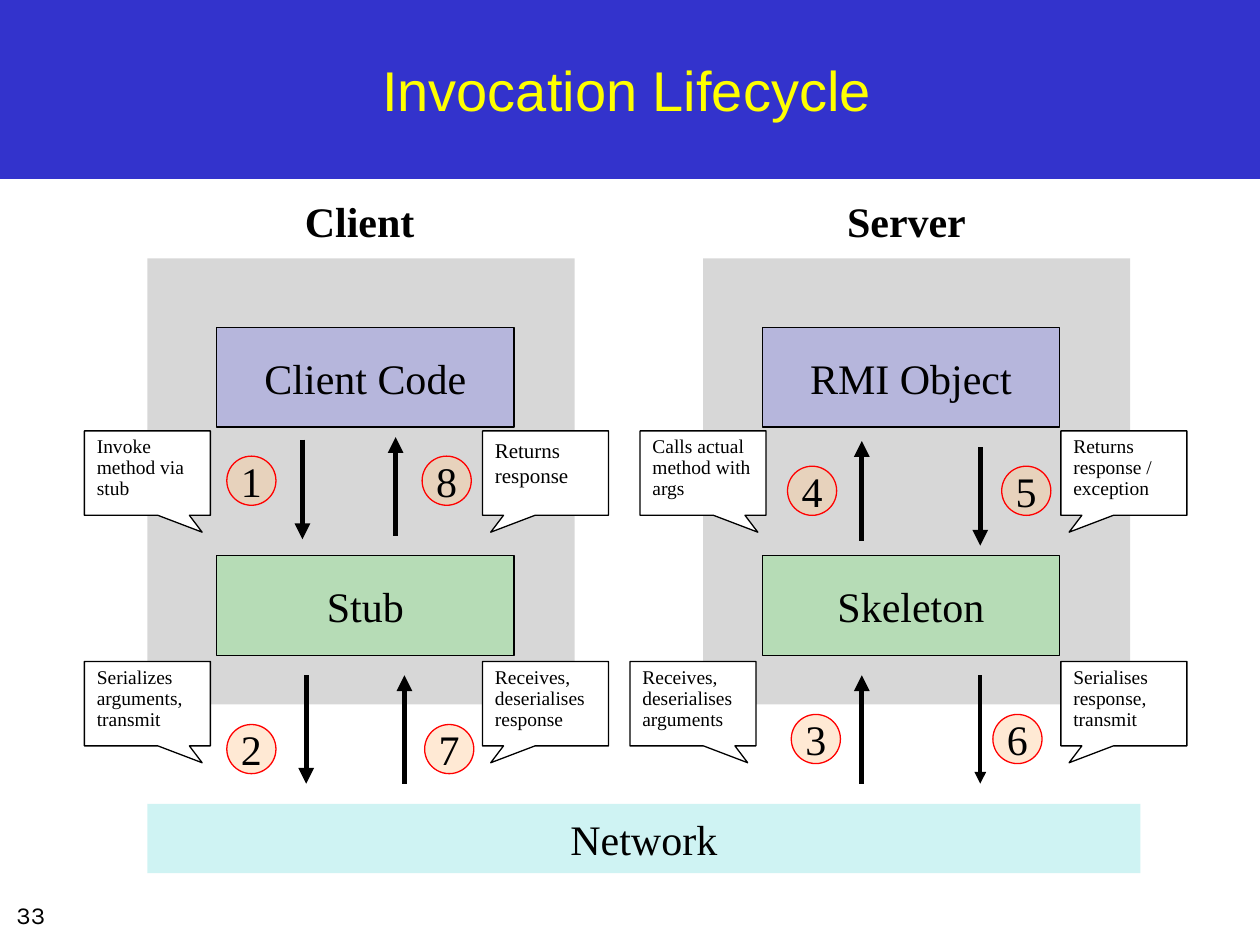
from lxml.etree import SubElement
from pptx import Presentation
from pptx.dml.color import RGBColor
from pptx.enum.shapes import MSO_CONNECTOR, MSO_SHAPE
from pptx.enum.text import MSO_ANCHOR, PP_ALIGN
from pptx.oxml.ns import qn
from pptx.util import Inches, Pt

HUES = {
    "band": "3333CC", "title": "FFFF00", "ink": "000000", "paper": "FFFFFF",
    "panel": "808080", "code": "0000FF", "proxy": "00FF00",
    "net": "33CCCC", "badge": "FFCC99", "ring": "FF0000",
}
SERIF = "Times New Roman"


def color(name):
    return RGBColor.from_string(HUES[name])


def write(shape, text, size, font=SERIF, hue="ink", bold=False,
          align=PP_ALIGN.CENTER, anchor=MSO_ANCHOR.MIDDLE, wrap=False):
    frame = shape.text_frame
    frame.text = text
    frame.word_wrap = wrap
    frame.vertical_anchor = anchor
    para = frame.paragraphs[0]
    para.alignment = align
    style = para.runs[0].font
    style.name, style.size, style.bold = font, Pt(size), bold
    style.color.rgb = color(hue)
    return para


def add_form(slide, kind, box, fill, alpha=100, line=None):
    shape = slide.shapes.add_shape(kind, *map(Inches, box))
    shape.shadow.inherit = False
    shape.fill.solid()
    shape.fill.fore_color.rgb = color(fill)
    if alpha < 100:
        tint = shape.fill._xPr.find(qn("a:solidFill"))[0]
        SubElement(tint, qn("a:alpha"), val=str(alpha * 1000))
    if line:
        shape.line.color.rgb = color(line)
        shape.line.width = Pt(0.75)
    else:
        shape.line.fill.background()
    return shape


def add_box(slide, box, text, fill, alpha, line=None):
    shape = add_form(slide, MSO_SHAPE.RECTANGLE, box, fill, alpha, line)
    write(shape, text, 24)


def add_label(slide, box, text, size, **style):
    label = slide.shapes.add_textbox(*map(Inches, box))
    write(label, text, size, anchor=MSO_ANCHOR.TOP, **style)


def add_arrow(slide, x, start, end, width=3):
    arrow = slide.shapes.add_connector(
        MSO_CONNECTOR.STRAIGHT, Inches(x), Inches(start), Inches(x), Inches(end))
    arrow.line.color.rgb = color("ink")
    arrow.line.width = Pt(width)
    SubElement(arrow.line._get_or_add_ln(), qn("a:tailEnd"), type="triangle")
    SubElement(arrow.element.spPr, qn("a:effectLst"))


def add_badge(slide, x, y, step):
    badge = add_form(slide, MSO_SHAPE.OVAL, (x, y, 0.39, 0.39), "badge", 42, "ring")
    write(badge, str(step), 24)


def add_note(slide, x, y, text, side, size=11.1, space=0.9):
    """Callout whose tip points right (side 1) or left (side -1)."""
    note = add_form(slide, MSO_SHAPE.RECTANGULAR_CALLOUT, (x, y, 1, 0.67),
                    "paper", line="ink")
    note.adjustments[0] = 0.435 * side
    note.adjustments[1] = 0.7
    para = write(note, text, size, align=PP_ALIGN.LEFT,
                 anchor=MSO_ANCHOR.TOP, wrap=True)
    para.line_spacing = space


def add_title(slide):
    title = slide.shapes.title
    title.left, title.top, title.width, title.height = map(
        Inches, (0.17, 0.17, 9.61, 1.08))
    write(title, "Invocation Lifecycle", 32, "Arial", "title", wrap=True)
    # The band lies behind the title
    band = add_form(slide, MSO_SHAPE.RECTANGLE, (0, 0, 10, 1.42), "band")
    title.element.addprevious(band.element)


def add_host(slide, name, head, left, inner, code, proxy):
    add_form(slide, MSO_SHAPE.RECTANGLE, (left, 2.05, 3.39, 3.54), "panel", 31)
    add_label(slide, (head, 1.5, 3.23, 0.5), name, 24, bold=True, wrap=True)
    add_box(slide, (inner, 2.6, 2.36, 0.79), code, "code", 15, "ink")
    add_box(slide, (inner, 4.41, 2.36, 0.79), proxy, "proxy", 15, "ink")


def main():
    deck = Presentation()
    deck.slide_width, deck.slide_height = Inches(10), Inches(7.5)
    slide = deck.slides.add_slide(deck.slide_layouts[5])
    add_title(slide)
    add_label(slide, (-0.33, 7.09, 1.15, 0.37), "33", 14, font="Karla")

    # Hosts and network
    add_host(slide, "Client", 1.24, 1.17, 1.72, "Client Code", "Stub")
    add_host(slide, "Server", 5.58, 5.58, 6.05, "RMI Object", "Skeleton")
    add_box(slide, (1.17, 6.38, 7.88, 0.55), "Network", "net", 23)

    # Arrows: x, start, end, width
    for arrow in [
        (2.4, 3.49, 4.28), (3.14, 4.25, 3.47),
        (6.84, 4.29, 3.5), (7.78, 3.55, 4.33),
        (2.43, 5.36, 6.22), (3.21, 6.22, 5.36),
        (6.84, 6.22, 5.36), (7.78, 5.36, 6.22, 2.25),
    ]:
        add_arrow(slide, *arrow)

    # Step numbers, in order
    spots = [(1.8, 3.62), (1.8, 5.75), (6.28, 5.67), (6.25, 3.7),
             (7.95, 3.7), (7.88, 5.67), (3.37, 5.75), (3.35, 3.62)]
    for step, (x, y) in enumerate(spots, 1):
        add_badge(slide, x, y, step)

    # Notes on each step
    high, low = 3.42, 5.25
    for note in [
        (0.67, high, "Invoke method via stub", 1),
        (0.67, low, "Serializes arguments, transmit", 1),
        (5, low, "Receives, deserialises arguments", 1),
        (5.08, high, "Calls actual method with args", 1),
        (8.42, high, "Returns response / exception", -1),
        (8.42, low, "Serialises response, transmit", -1),
        (3.83, low, "Receives, deserialises response", -1),
        (3.83, high, "Returns response", -1, 12, 1.0),
    ]:
        add_note(slide, *note)

    deck.save("out.pptx")


if __name__ == "__main__":
    main()
